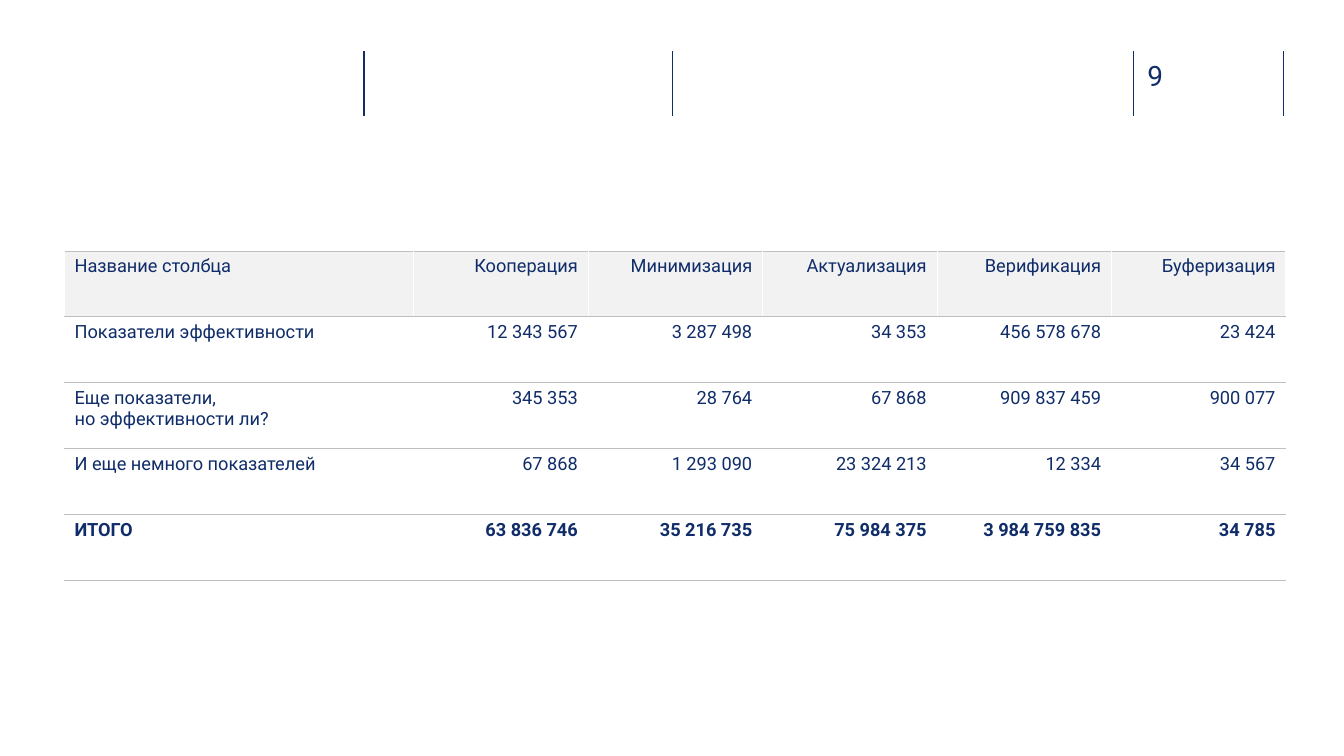
from dataclasses import dataclass

from lxml.etree import SubElement
from pptx import Presentation
from pptx.dml.color import RGBColor
from pptx.enum.shapes import MSO_CONNECTOR as Link
from pptx.enum.text import PP_ALIGN as Align
from pptx.oxml.ns import qn
from pptx.slide import Slide
from pptx.table import _Cell as Cell
from pptx.text.text import _Paragraph as Para
from pptx.util import Inches, Pt

NAVY = RGBColor(0x10, 0x2D, 0x69)
GRAY = RGBColor(0xBF, 0xBF, 0xBF)
PALE = RGBColor(0xF2, 0xF2, 0xF2)
WHITE = RGBColor(0xFF, 0xFF, 0xFF)
FONT = "Roboto"
RULES = (3.61, 6.67, 11.24, 12.73)
WIDTHS = (3.46,) + (1.73,) * 5


@dataclass(frozen=True)
class Row:
    name: str
    values: tuple[str, ...]
    bold: bool = False
    head: bool = False


@dataclass(frozen=True)
class Edge:
    tag: str
    color: RGBColor
    width: float


LEFT = Edge("a:lnL", WHITE, 0.25)
RIGHT = Edge("a:lnR", WHITE, 0.25)
TOP = Edge("a:lnT", GRAY, 0.75)
BOTTOM = Edge("a:lnB", GRAY, 0.75)

ROWS = (
    Row("Название столбца",
        ("Кооперация", "Минимизация", "Актуализация", "Верификация", "Буферизация"), head=True),
    Row("Показатели эффективности",
        ("12 343 567", "3 287 498", "34 353", "456 578 678", "23 424")),
    Row("Еще показатели, \nно эффективности ли?",
        ("345 353", "28 764", "67 868", "909 837 459", "900 077")),
    Row("И еще немного показателей",
        ("67 868", "1 293 090", "23 324 213", "12 334", "34 567")),
    Row("ИТОГО",
        ("63 836 746", "35 216 735", "75 984 375", "3 984 759 835", "34 785"), bold=True),
)


def write(para: Para, text: str, size: float, bold: bool = False) -> None:
    para.text = text
    para.font.name = FONT
    para.font.size = Pt(size)
    para.font.bold = bold
    para.font.color.rgb = NAVY


def draw_rule(slide: Slide, x: float) -> None:
    rule = slide.shapes.add_connector(
        Link.STRAIGHT, Inches(x), Inches(0.51), Inches(x), Inches(1.15))
    rule.line.color.rgb = NAVY
    rule.line.width = Pt(1)
    SubElement(rule._element.spPr, qn("a:effectLst"))


def draw_number(slide: Slide) -> None:
    box = slide.shapes.add_textbox(Inches(11.38), Inches(0.58), Inches(0.73), Inches(0.34))
    frame = box.text_frame
    frame.word_wrap = True
    frame.margin_left = frame.margin_top = frame.margin_right = frame.margin_bottom = 0
    write(frame.paragraphs[0], "9", 20)


def add_edge(cell: Cell, edge: Edge) -> None:
    props = cell._tc.get_or_add_tcPr()
    line = SubElement(props, qn(edge.tag), w=str(Pt(edge.width)))
    fill = SubElement(line, qn("a:solidFill"))
    SubElement(fill, qn("a:srgbClr"), val=str(edge.color))


def fill_cell(cell: Cell, row: Row, col: int) -> None:
    last = len(WIDTHS) - 1
    if col > 0:
        add_edge(cell, LEFT)
    if col < last:
        add_edge(cell, RIGHT)
    add_edge(cell, TOP)
    add_edge(cell, BOTTOM)
    if row.head:
        cell.fill.solid()
        cell.fill.fore_color.rgb = PALE
    else:
        cell.fill.background()
    para = cell.text_frame.paragraphs[0]
    write(para, (row.name, *row.values)[col], 13, row.bold)
    para.alignment = Align.RIGHT if col else Align.LEFT


def draw_table(slide: Slide) -> None:
    frame = slide.shapes.add_table(
        len(ROWS), len(WIDTHS), Inches(0.64), Inches(2.49), Inches(sum(WIDTHS)), Inches(3.27))
    table = frame.table
    table.first_row = table.horz_banding = False
    for column, width in zip(table.columns, WIDTHS):
        column.width = Inches(width)
    for i, row in enumerate(ROWS):
        for col in range(len(WIDTHS)):
            fill_cell(table.cell(i, col), row, col)


def main() -> None:
    deck = Presentation()
    deck.slide_width = Inches(13.33)
    deck.slide_height = Inches(7.5)
    slide = deck.slides.add_slide(deck.slide_layouts[6])
    for x in RULES:
        draw_rule(slide, x)
    draw_number(slide)
    draw_table(slide)
    deck.save("out.pptx")


if __name__ == "__main__":
    main()
